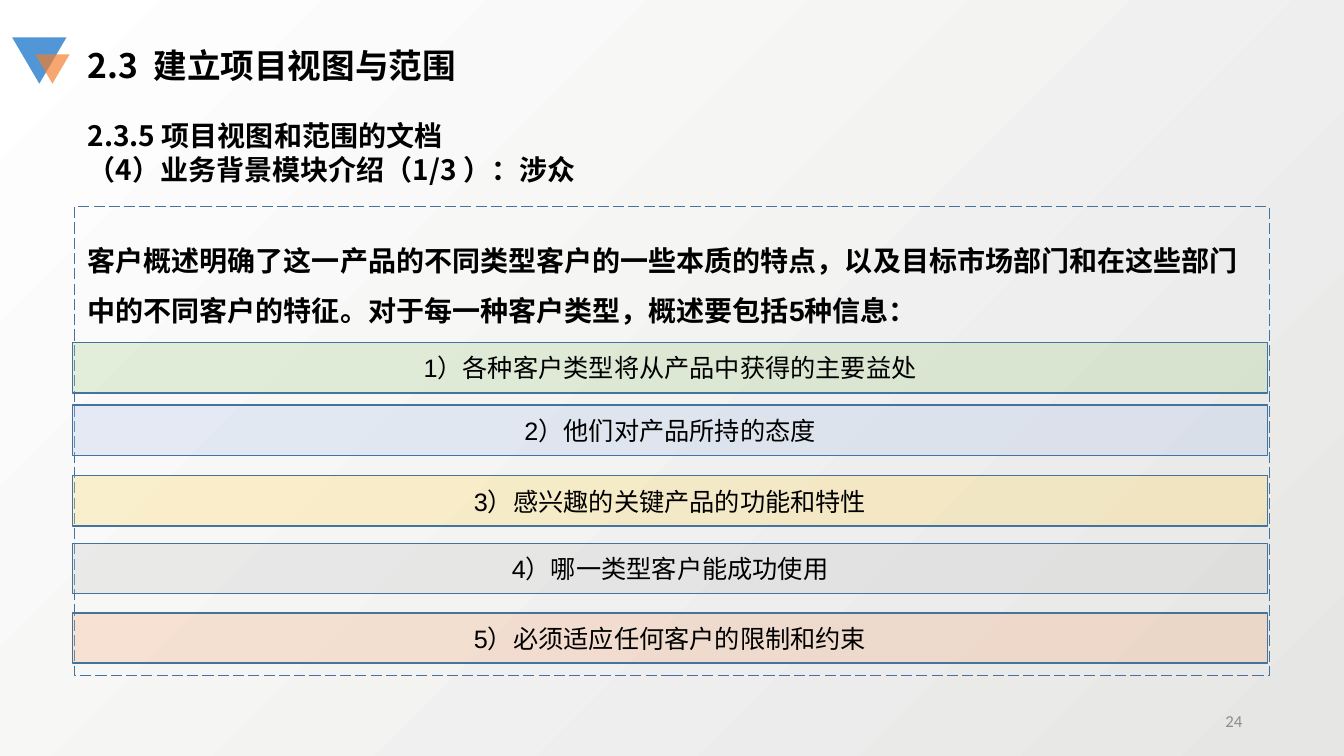
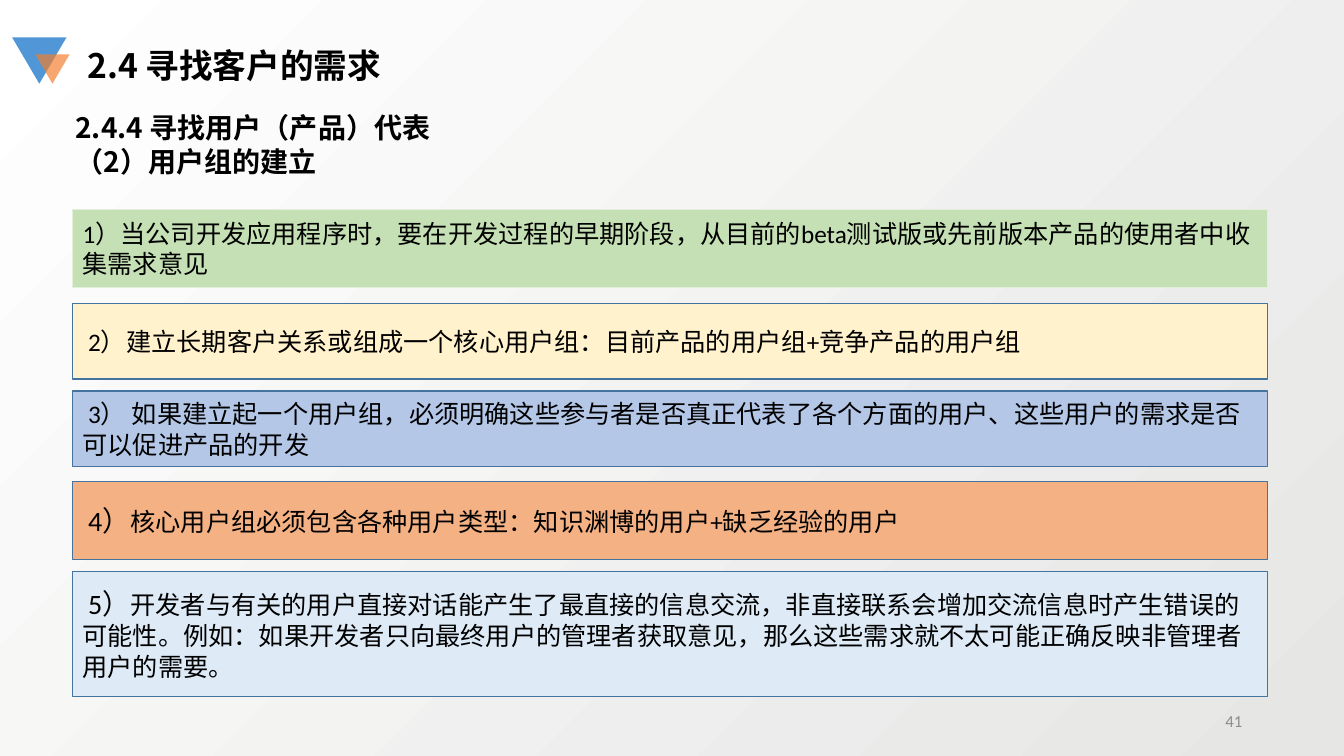
"""Build two slides on project scope and customer needs."""
from dataclasses import dataclass

from lxml import etree
from pptx import Presentation
from pptx.dml.color import RGBColor
from pptx.enum.dml import MSO_LINE
from pptx.enum.shapes import MSO_SHAPE
from pptx.enum.text import MSO_ANCHOR, MSO_AUTO_SIZE, PP_ALIGN
from pptx.oxml.ns import qn
from pptx.util import Emu, Pt

EMU_PER_PX = 9144
RECTANGLE = MSO_SHAPE.RECTANGLE
TRIANGLE = MSO_SHAPE.ISOSCELES_TRIANGLE
LONG_DASH = MSO_LINE.LONG_DASH
MIDDLE, TOP = MSO_ANCHOR.MIDDLE, MSO_ANCHOR.TOP
LEFT, CENTER, RIGHT = PP_ALIGN.LEFT, PP_ALIGN.CENTER, PP_ALIGN.RIGHT
GROW = MSO_AUTO_SIZE.SHAPE_TO_FIT_TEXT

HEADING_FONT = "Noto Sans CJK SC"
NUMBER_FONT = "Calibri"
OUTLINE_FONT = "Arial"
BAND_LEFT, BAND_WIDTH = 72, 1185

COLORS = {
    "background_dark": "E6E6E5",
    "background_light": "FFFFFF",
    "text": "000000",
    "page_number": "8C8C8C",
    "outline": "43739E",
    "mark_blue": "5197D7",
    "mark_orange": "F37D2A",
    "green": "A9D18E",
    "blue": "B4C7E7",
    "yellow": "FFD966",
    "gray": "C9C9C9",
    "orange": "F4B183",
    "light_green": "C5E0B4",
    "pale_green": "E2F0D9",
    "cream": "FFF2CC",
    "pale_blue": "DEEBF7",
}


@dataclass(frozen=True)
class Box:
    left: int
    top: int
    width: int
    height: int

    def emu(self) -> tuple[Emu, ...]:
        sides = (self.left, self.top, self.width, self.height)
        return tuple(Emu(side * EMU_PER_PX) for side in sides)


@dataclass(frozen=True)
class Run:
    text: str
    size: int = 18


@dataclass(frozen=True)
class TextStyle:
    font: str
    bold: bool = False
    color: str = "text"
    align: PP_ALIGN = LEFT
    anchor: MSO_ANCHOR = TOP
    line_spacing: float = 1.0


@dataclass(frozen=True)
class Band:
    top: int
    height: int
    fill: str
    runs: tuple[Run, ...]
    line: str = "outline"


HEADING = TextStyle(HEADING_FONT, bold=True)
BODY = TextStyle(OUTLINE_FONT, bold=True, line_spacing=1.5)
PAGE_NUMBER = TextStyle(NUMBER_FONT, color="page_number", align=RIGHT, anchor=MIDDLE)
CENTERED_BAND = TextStyle(OUTLINE_FONT, align=CENTER, anchor=MIDDLE)
LEFT_BAND = TextStyle(NUMBER_FONT, anchor=MIDDLE)

PROFILE_BANDS = (
    Band(340, 50, "green", (Run("1）各种客户类型将从产品中获得的主要益处"),)),
    Band(402, 50, "blue", (Run("2）他们对产品所持的态度"),)),
    Band(472, 50, "yellow", (Run("3）感兴趣的关键产品的功能和特性"),)),
    Band(539, 50, "gray", (Run("4）哪一类型客户能成功使用"),)),
    Band(608, 50, "orange", (Run("5）必须适应任何客户的限制和约束"),)),
)

USER_GROUP_BANDS = (
    Band(208, 77, "light_green", (
        Run("1）当公司开发应用程序时，要在开发过程的早期阶段，"
            "从目前的beta测试版或先前版本产品的使用者中收集需求意见"),
    ), line="pale_green"),
    Band(301, 75, "cream", (
        Run(" 2）建立长期客户关系或组成一个核心用户组：目前产品的用户组+竞争产品的用户组"),
    )),
    Band(388, 75, "blue", (
        Run(" 3） 如果建立起一个用户组，必须明确这些参与者是否真正代表了"
            "各个方面的用户、这些用户的需求是否可以促进产品的开发"),
    )),
    Band(478, 77, "orange", (
        Run(" "),
        Run("4）", 20),
        Run("核心用户组必须包含各种用户类型：知识渊博的用户+缺乏经验的用户"),
    )),
    Band(567, 124, "pale_blue", (
        Run(" "),
        Run("5）", 20),
        Run("开发者与有关的用户直接对话能产生了最直接的信息交流，"
            "非直接联系会增加交流信息时产生错误的可能性。"
            "例如：如果开发者只向最终用户的管理者获取意见，"
            "那么这些需求就不太可能正确反映非管理者用户的需要。"),
    )),
)


def rgb(name: str) -> RGBColor:
    return RGBColor.from_string(COLORS[name])


def write_text(frame, paragraphs: tuple[tuple[Run, ...], ...], style: TextStyle) -> None:
    frame.word_wrap = True
    frame.vertical_anchor = style.anchor
    for index, runs in enumerate(paragraphs):
        paragraph = frame.add_paragraph() if index else frame.paragraphs[0]
        paragraph.alignment = style.align
        paragraph.line_spacing = style.line_spacing
        for item in runs:
            run = paragraph.add_run()
            run.text = item.text
            font = run.font
            font.name = style.font
            font.size = Pt(item.size)
            font.bold = style.bold
            font.color.rgb = rgb(style.color)
            east_asian = etree.SubElement(font._element, qn("a:ea"))
            east_asian.set("typeface", HEADING_FONT)


def add_text(slide, box: Box, paragraphs: tuple[tuple[Run, ...], ...],
             style: TextStyle, grow: bool = True) -> None:
    frame = slide.shapes.add_textbox(*box.emu()).text_frame
    write_text(frame, paragraphs, style)
    if grow:
        frame.auto_size = GROW


def add_figure(shapes, kind: MSO_SHAPE, box: Box, fill: str | None = None,
               opacity: int = 100, line: str | None = None):
    shape = shapes.add_shape(kind, *box.emu())
    shape.shadow.inherit = False
    if fill:
        shape.fill.solid()
        shape.fill.fore_color.rgb = rgb(fill)
        if opacity < 100:
            color = shape.fill._xPr.find(qn("a:solidFill"))[0]
            etree.SubElement(color, qn("a:alpha")).set("val", str(opacity * 1000))
    else:
        shape.fill.background()
    if line:
        shape.line.color.rgb = rgb(line)
        shape.line.width = Pt(1)
    else:
        shape.line.fill.background()
    return shape


def add_bands(slide, bands: tuple[Band, ...], style: TextStyle, opacity: int = 100) -> None:
    for band in bands:
        box = Box(BAND_LEFT, band.top, BAND_WIDTH, band.height)
        shape = add_figure(slide.shapes, RECTANGLE, box, band.fill, opacity, band.line)
        write_text(shape.text_frame, (band.runs,), style)


def add_corner_mark(slide) -> None:
    group = slide.shapes.add_group_shape()
    for box, fill, opacity in (
        (Box(12, 37, 54, 46), "mark_blue", 100),
        (Box(35, 54, 34, 29), "mark_orange", 68),
    ):
        add_figure(group.shapes, TRIANGLE, box, fill, opacity).rotation = 180


def add_base_slide(presentation, title: str, number: int):
    slide = presentation.slides.add_slide(presentation.slide_layouts[6])
    fill = slide.background.fill
    fill.gradient()
    fill.gradient_angle = 135
    for stop, name in zip(fill.gradient_stops, ("background_dark", "background_light")):
        stop.color.rgb = rgb(name)
    add_corner_mark(slide)
    add_text(slide, Box(942, 695, 300, 40), ((Run(str(number), 12),),),
             PAGE_NUMBER, grow=False)
    add_text(slide, Box(77, 40, 849, 50), ((Run(title, 24),),), HEADING)
    return slide


def add_subtitle(slide, left: int, top: int, lines: tuple[str, str]) -> None:
    paragraphs = tuple((Run(line, 20),) for line in lines)
    add_text(slide, Box(left, top, 849, 77), paragraphs, HEADING)


def build_profile_slide(presentation) -> None:
    slide = add_base_slide(presentation, "2.3  建立项目视图与范围", 24)
    panel = add_figure(slide.shapes, RECTANGLE, Box(74, 205, 1185, 465), line="outline")
    panel.line.dash_style = LONG_DASH
    overview = Run("客户概述明确了这一产品的不同类型客户的一些本质的特点，"
                   "以及目标市场部门和在这些部门中的不同客户的特征。"
                   "对于每一种客户类型，概述要包括5种信息：", 20)
    add_text(slide, Box(77, 220, 1168, 103), ((overview,),), BODY)
    add_subtitle(slide, 77, 113,
                 ("2.3.5 项目视图和范围的文档", "（4）业务背景模块介绍（1/3 ）：涉众"))
    add_bands(slide, PROFILE_BANDS, CENTERED_BAND, opacity=30)


def build_user_group_slide(presentation) -> None:
    slide = add_base_slide(presentation, "2.4 寻找客户的需求", 41)
    add_subtitle(slide, 65, 105, ("2.4.4 寻找用户（产品）代表", "（2）用户组的建立"))
    add_bands(slide, USER_GROUP_BANDS, LEFT_BAND)


def main() -> None:
    presentation = Presentation()
    presentation.slide_width = Emu(1333 * EMU_PER_PX)
    presentation.slide_height = Emu(750 * EMU_PER_PX)
    build_profile_slide(presentation)
    build_user_group_slide(presentation)
    presentation.save("out.pptx")


if __name__ == "__main__":
    main()
